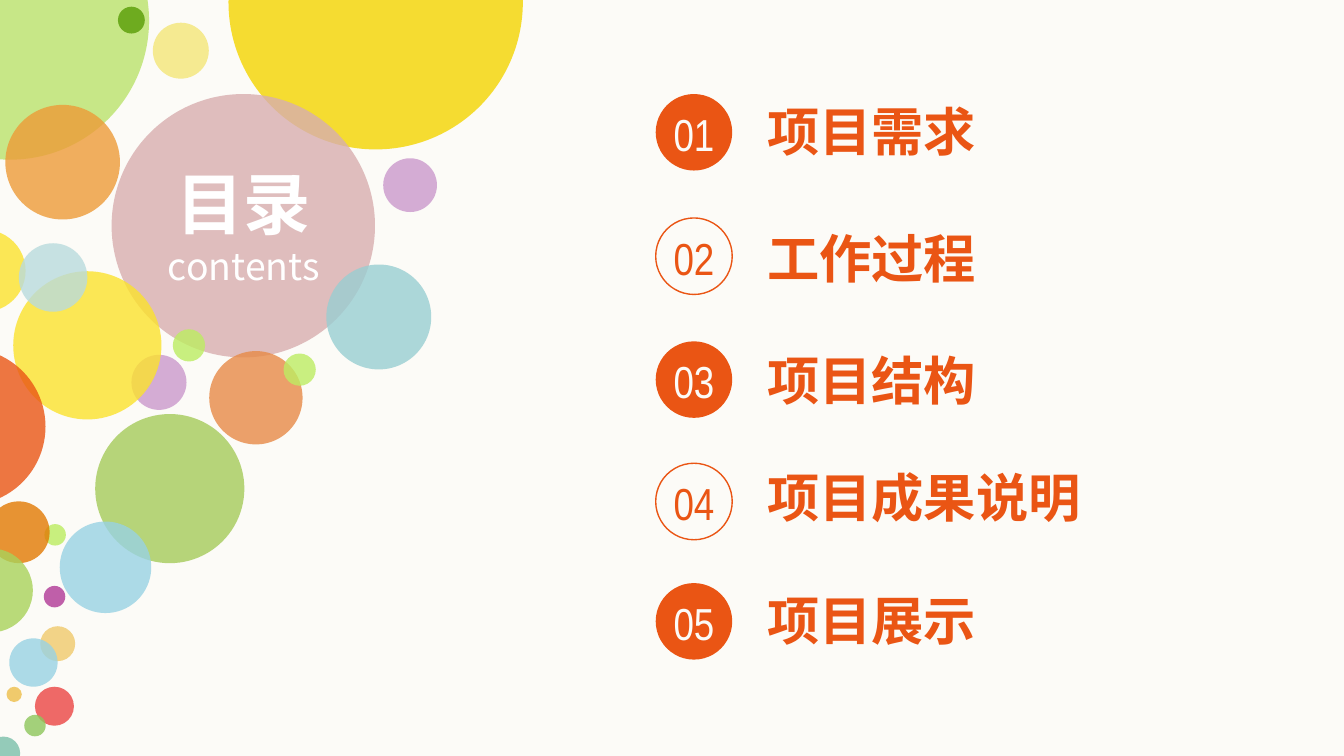
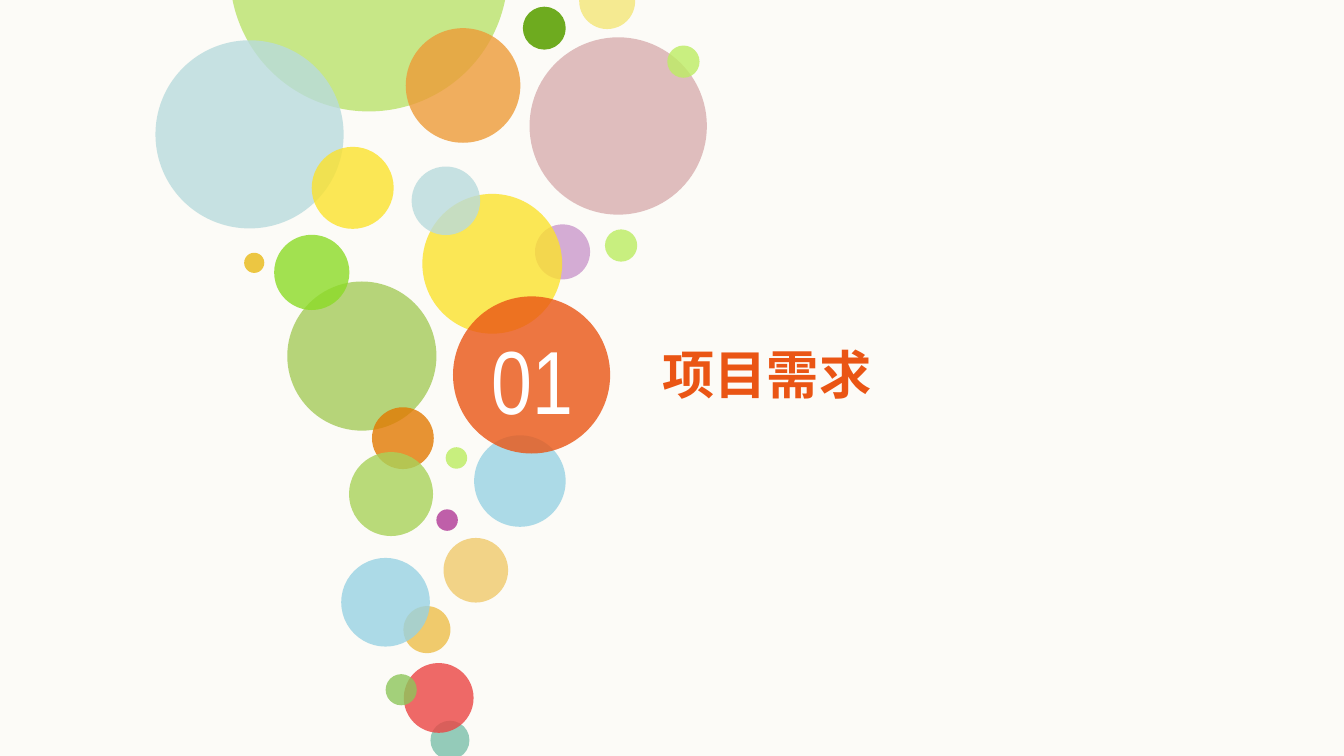
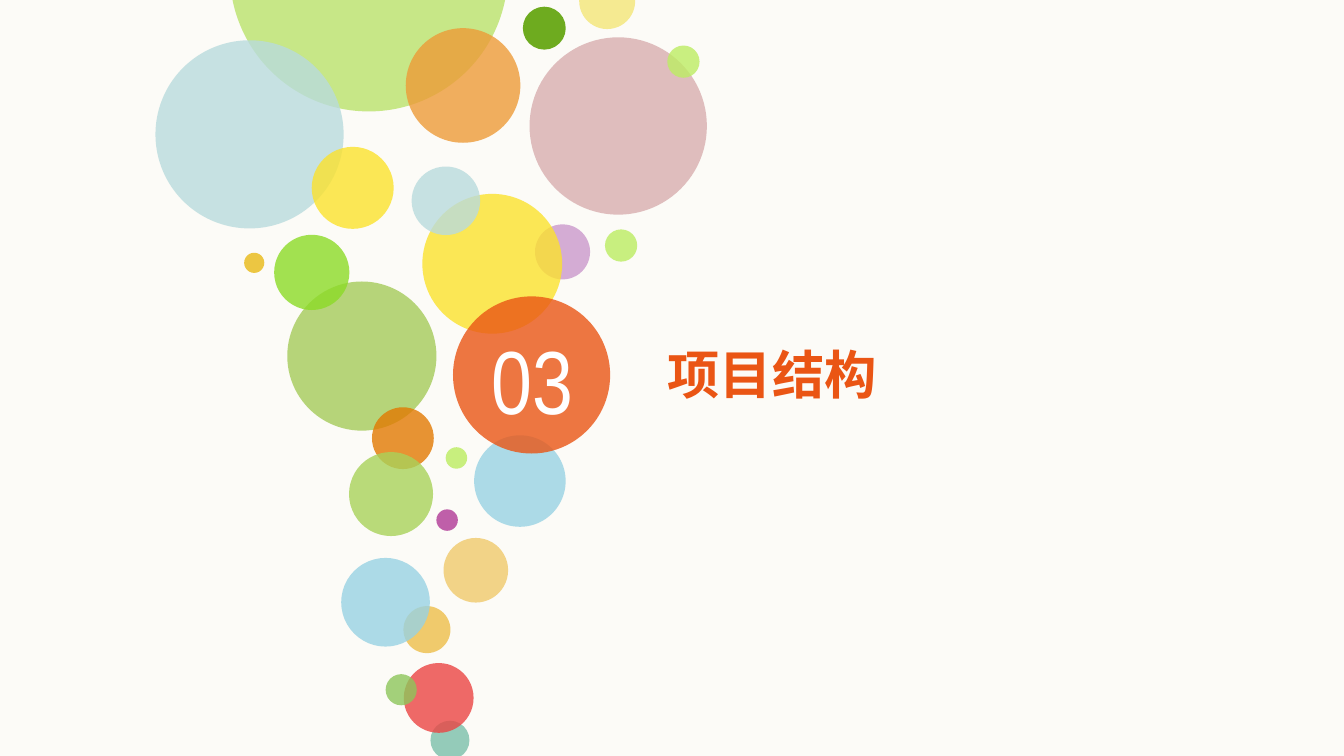
"""Build a bubble-themed agenda slide and two section slides."""
from typing import NamedTuple

from lxml import etree
from pptx import Presentation
from pptx.dml.color import RGBColor
from pptx.enum.shapes import MSO_SHAPE
from pptx.enum.text import MSO_AUTO_SIZE, PP_ALIGN
from pptx.oxml.ns import qn
from pptx.util import Pt

OVAL = MSO_SHAPE.OVAL
GROW = MSO_AUTO_SIZE.SHAPE_TO_FIT_TEXT
LEFT, CENTER = PP_ALIGN.LEFT, PP_ALIGN.CENTER

TEXT_FONT = "Noto Sans CJK SC"
NUMBER_FONT = "Arial Narrow"

COLORS = {
    "paper": "FCFBF7",
    "white": "FFFFFF",
    "accent": "EA5514",
    "lime": "BAE36B",
    "forest": "6EAB1F",
    "orange": "ED9B38",
    "cream": "F5EA91",
    "gold": "F4D500",
    "rose": "D8AEAF",
    "teal": "99CED2",
    "lilac": "CB99CC",
    "copper": "E78A47",
    "leaf": "A5CB5A",
    "mint": "BDED63",
    "sprout": "BCED61",
    "shoot": "BCED60",
    "yellow": "FBE22D",
    "purple": "B03896",
    "sand": "F0CA6C",
    "sea": "7BBFAA",
    "red": "EB4544",
    "moss": "8DC65B",
    "sky": "98D2E3",
    "mist": "B9DBDD",
    "amber": "E27902",
    "grass": "A9D25A",
    "bright": "8CDB27",
    "mustard": "E9B915",
}


class Bubble(NamedTuple):
    color: str
    x: float
    y: float
    d: float
    alpha: int = 80


class AgendaItem(NamedTuple):
    label: str
    circle_y: float
    label_y: float
    label_w: float = 153.4


class Section(NamedTuple):
    number: str
    title: str
    title_x: float


AGENDA_BUBBLES = [
    Bubble("lime", -69.1, -63.4, 149),
    Bubble("forest", 63.2, 3.6, 14.4, 100),
    Bubble("orange", 2.9, 56.2, 61.4),
    Bubble("cream", 81.9, 12.2, 30, 100),
    Bubble("gold", 122.4, -77.6, 157.7),
    Bubble("rose", 59.8, 50.4, 141.1),
    Bubble("teal", 174.8, 141.7, 56.2),
    Bubble("lilac", 205.3, 84.8, 28.8),
    Bubble("copper", 112.1, 188.1, 50),
    Bubble("leaf", 51, 221.8, 79.9),
    Bubble("mint", 151.9, 189.4, 17.3),
    Bubble("sprout", 92.6, 176.4, 17.3),
    Bubble("lilac", 70.4, 190.1, 29.5),
    Bubble("yellow", 7.1, 145.3, 79.4),
    Bubble("yellow", -30.2, 123.1, 43.9),
    Bubble("shoot", 23.8, 280.8, 11.5),
    Bubble("purple", 23.5, 313.9, 11.5),
    Bubble("sand", 21.6, 335.5, 18.7),
    Bubble("sand", 3.5, 367.9, 8.2, 100),
    Bubble("sea", -7.2, 394.6, 18),
    Bubble("red", 18.7, 367.9, 20.9),
    Bubble("moss", 13, 383, 11.5),
    Bubble("sky", 5, 342, 25.9),
    Bubble("mist", 10.1, 130.3, 36.7),
    Bubble("sky", 32, 279.4, 49),
    Bubble("amber", -6.5, 268.6, 33.1),
    Bubble("grass", -27.4, 293.8, 45),
    Bubble("accent", -59.8, 186.5, 84.2),
]

SECTION_BUBBLES = [
    Bubble("lime", 123.1, -89.3, 149),
    Bubble("forest", 280.1, 3.6, 23, 100),
    Bubble("mist", 83.3, 21.6, 100.8),
    Bubble("orange", 217.4, 15.1, 61.4),
    Bubble("cream", 310.3, -14.4, 30, 100),
    Bubble("rose", 283.7, 20, 95),
    Bubble("leaf", 153.9, 150.8, 79.9),
    Bubble("mint", 357.5, 24.4, 17.3),
    Bubble("sprout", 324.1, 122.9, 17.3),
    Bubble("lilac", 286.6, 120.2, 29.5),
    Bubble("yellow", 226.3, 103.9, 74.9),
    Bubble("yellow", 167, 78.7, 43.9),
    Bubble("bright", 146.9, 125.8, 40.3),
    Bubble("mustard", 130.8, 135.4, 10.8),
    Bubble("shoot", 238.8, 239.6, 11.5),
    Bubble("purple", 233.8, 272.9, 11.5),
    Bubble("sand", 237.6, 288.2, 34.6),
    Bubble("sand", 216.1, 324.7, 25.2, 100),
    Bubble("sea", 230.6, 386.1, 20.9),
    Bubble("red", 216.3, 355.2, 37.4),
    Bubble("moss", 206.6, 361.2, 16.7),
    Bubble("sky", 182.8, 298.9, 47.5),
    Bubble("mist", 220.5, 89.2, 36.7),
    Bubble("sky", 254, 233.2, 49),
    Bubble("amber", 199.3, 218.2, 33.1),
    Bubble("grass", 187, 242.2, 45),
    Bubble("accent", 242.7, 158.8, 84.2),
]

AGENDA = [
    AgendaItem("项目需求", 50.4, 53.3),
    AgendaItem("工作过程", 116.8, 121),
    AgendaItem("项目结构", 182.9, 186.5, 175.6),
    AgendaItem("项目成果说明", 248.2, 249.1, 175),
    AgendaItem("项目展示", 312.4, 315.4),
]

SECTIONS = [
    Section("01", "项目需求", 355),
    Section("03", "项目结构", 357.8),
]

AGENDA_X, AGENDA_D, LABEL_X = 351.3, 41, 411.1


def rgb(name: str) -> RGBColor:
    """Return the palette colour with this name."""
    return RGBColor.from_string(COLORS[name])


def add_circle(slide, x: float, y: float, d: float, *, fill: str | None = None,
               line: str | None = None, alpha: int = 100) -> None:
    """Draw a circle, filled or outlined, with an optional opacity."""
    sp = slide.shapes.add_shape(OVAL, Pt(x), Pt(y), Pt(d), Pt(d))
    sp.shadow.inherit = False
    if fill:
        sp.fill.solid()
        sp.fill.fore_color.rgb = rgb(fill)
    else:
        sp.fill.background()
    if line:
        sp.line.color.rgb = rgb(line)
        sp.line.width = Pt(0.75)
    else:
        sp.line.fill.background()
    if alpha < 100:
        clr = sp._element.spPr.find(qn("a:solidFill"))[0]
        etree.SubElement(clr, qn("a:alpha")).set("val", str(alpha * 1000))


def add_bubbles(slide, bubbles: list[Bubble]) -> None:
    """Draw a cluster of bubbles from back to front."""
    for b in bubbles:
        add_circle(slide, b.x, b.y, b.d, fill=b.color, alpha=b.alpha)


def add_paragraph(p, text: str, *, size: float, color: str = "accent",
                  font: str = TEXT_FONT, bold: bool = False,
                  align: PP_ALIGN = LEFT) -> None:
    """Write formatted text into a paragraph."""
    p.alignment = align
    r = p.add_run()
    r.text = text
    r.font.size = Pt(size)
    r.font.bold = bold
    r.font.color.rgb = rgb(color)
    r.font.name = font
    ea = etree.SubElement(r._r.get_or_add_rPr(), qn("a:ea"))
    ea.set("typeface", font)


def add_box(slide, x: float, y: float, w: float, h: float):
    """Add a text box without margins and return its text frame."""
    tf = slide.shapes.add_textbox(Pt(x), Pt(y), Pt(w), Pt(h)).text_frame
    tf.margin_left = tf.margin_top = tf.margin_right = tf.margin_bottom = 0
    tf.word_wrap = True
    tf.auto_size = GROW
    return tf


def add_number(slide, text: str, x: float, y: float, w: float, h: float,
               size: float, color: str) -> None:
    """Add a centred number for a circle."""
    tf = add_box(slide, x, y, w, h)
    add_paragraph(tf.paragraphs[0], text, size=size, color=color,
                  font=NUMBER_FONT, align=CENTER)


def add_heading(slide, text: str, x: float, y: float, w: float) -> None:
    """Add a bold section heading."""
    tf = add_box(slide, x, y, w, 33.8)
    add_paragraph(tf.paragraphs[0], text, size=28, bold=True)


def build_agenda(slide) -> None:
    """Build the contents slide."""
    add_bubbles(slide, AGENDA_BUBBLES)
    tf = add_box(slide, 76.3, 87.1, 108.7, 67.7)
    add_paragraph(tf.paragraphs[0], "目录", size=36, color="white",
                  bold=True, align=CENTER)
    add_paragraph(tf.add_paragraph(), "contents", size=20, color="white",
                  align=CENTER)
    for n, item in enumerate(AGENDA, 1):
        filled = n % 2 == 1
        style = {"fill": "accent"} if filled else {"line": "accent"}
        add_circle(slide, AGENDA_X, item.circle_y, AGENDA_D, **style)
        add_number(slide, f"{n:02d}", AGENDA_X, item.circle_y + 6.6,
                   AGENDA_D, 28.8, 24, "paper" if filled else "accent")
        add_heading(slide, item.label, LABEL_X, item.label_y, item.label_w)


def build_section(slide, section: Section) -> None:
    """Build a section divider slide."""
    add_bubbles(slide, SECTION_BUBBLES)
    add_number(slide, section.number, 256.3, 174.2, 57.6, 58.3, 48, "white")
    add_heading(slide, section.title, section.title_x, 183.6, 218.9)


def add_slide(prs):
    """Add a blank slide with the shared background."""
    slide = prs.slides.add_slide(prs.slide_layouts[6])
    fill = slide.background.fill
    fill.solid()
    fill.fore_color.rgb = rgb("paper")
    return slide


def main() -> None:
    """Build and save the presentation."""
    prs = Presentation()
    prs.slide_width, prs.slide_height = Pt(720), Pt(405)
    build_agenda(add_slide(prs))
    for section in SECTIONS:
        build_section(add_slide(prs), section)
    prs.save("out.pptx")


if __name__ == "__main__":
    main()
